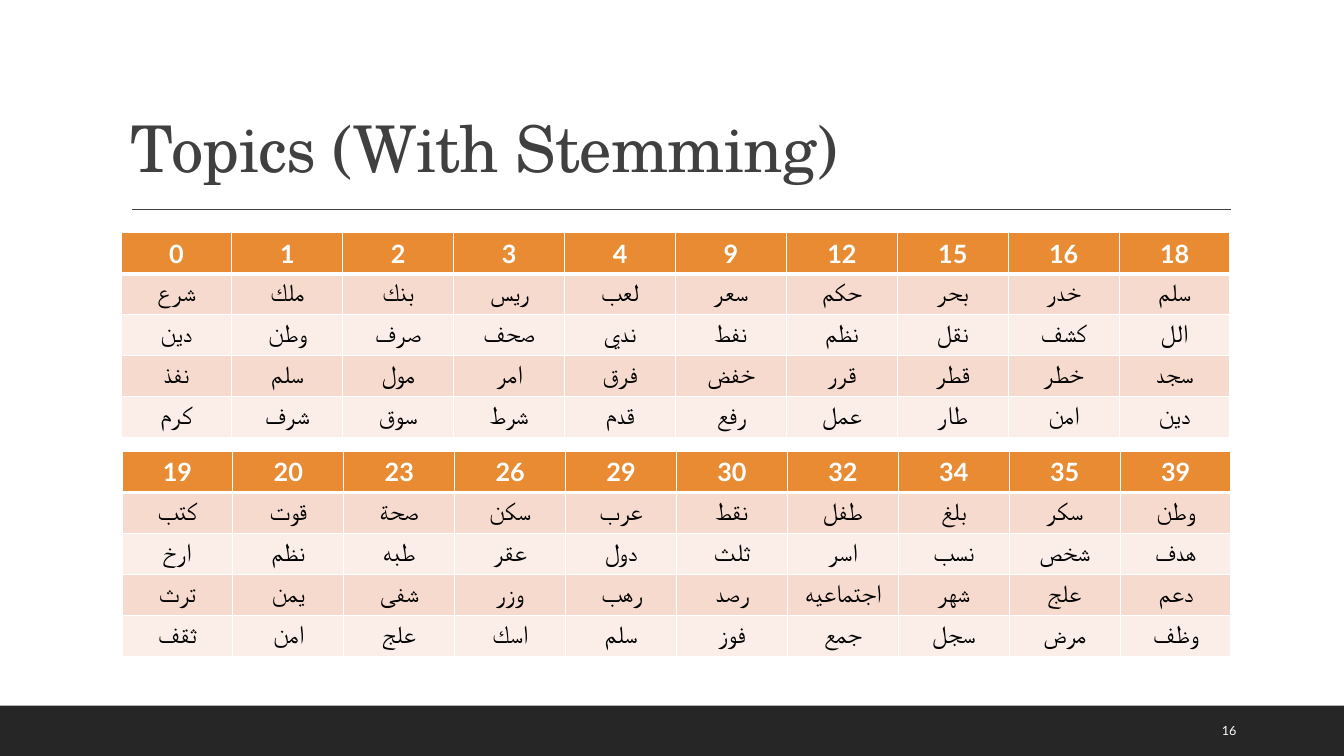
from lxml import etree
from pptx import Presentation
from pptx.dml.color import RGBColor
from pptx.enum.shapes import MSO_CONNECTOR, MSO_SHAPE
from pptx.enum.text import MSO_ANCHOR, PP_ALIGN
from pptx.oxml import parse_xml
from pptx.oxml.ns import qn
from pptx.util import Inches, Pt

CENTER = PP_ALIGN.CENTER
MIDDLE, BOTTOM = MSO_ANCHOR.MIDDLE, MSO_ANCHOR.BOTTOM
RECT, STRAIGHT = MSO_SHAPE.RECTANGLE, MSO_CONNECTOR.STRAIGHT
A_NS = "http://schemas.openxmlformats.org/drawingml/2006/main"
HEADER, BANDS = "E88B33", ("FBEEE8", "F6DACE")
W, H = 13.33, 7.5
TABLE_W, TABLE_H = 11, 2.03


def rgb(value):
    return RGBColor.from_string(value)


def style(tf, size, font, color, anchor=MIDDLE, bold=False):
    tf.word_wrap = True
    tf.vertical_anchor = anchor
    r = tf.paragraphs[0].runs[0]
    r.font.size = Pt(size)
    r.font.name = font
    r.font.bold = bold
    r.font.color.rgb = rgb(color)
    return r


prs = Presentation()
prs.slide_width, prs.slide_height = Inches(W), Inches(H)
s = prs.slides.add_slide(prs.slide_layouts[6])

# Footer band
sp = s.shapes.add_shape(RECT, 0, Inches(H - 0.5), Inches(W), Inches(0.5))
sp.shadow.inherit = False
sp.fill.solid()
sp.fill.fore_color.rgb = rgb("262626")
sp.line.fill.background()

# Rule under the title
rule = s.shapes.add_connector(STRAIGHT, Inches(1.31), Inches(2.08),
                              Inches(12.21), Inches(2.08))
rule.line.color.rgb = rgb("404040")
rule.line.width = Pt(1)
etree.SubElement(rule._element.spPr, qn("a:effectLst"))

# Title
tf = s.shapes.add_textbox(Inches(1.2), Inches(0.31), Inches(11), Inches(1.59)).text_frame
tf.text = "Topics (With Stemming)"
r = style(tf, 46, "TeX Gyre Schola", "404040", BOTTOM)
r._r.get_or_add_rPr().set("spc", "-50")
tf.paragraphs[0].line_spacing = 0.9

# Slide number
tf = s.shapes.add_textbox(Inches(12.02), Inches(7.05), Inches(0.85), Inches(0.4)).text_frame
tf.text = "16"
style(tf, 9, "Lato", "FFFFFF")

# Topic tables: left, top, then topic numbers followed by their words
tables = [
    (1.2, 2.31, [
        "0 1 2 3 4 9 12 15 16 18",
        "شرع ملك بنك ريس لعب سعر حكم بحر خدر سلم",
        "دين وطن صرف صحف ندي نفط نظم نقل كشف الل",
        "نفذ سلم مول امر فرق خفض قرر قطر خطر سجد",
        "كرم شرف سوق شرط قدم رفع عمل طار امن دين",
    ]),
    (1.21, 4.48, [
        "19 20 23 26 29 30 32 34 35 39",
        "كتب قوت صحة سكن عرب نقط طفل بلغ سكر وطن",
        "ارخ نظم طبه عقر دول ثلث اسر نسب شخص هدف",
        "ترث يمن شفى وزر رهب رصد اجتماعيه شهر علج دعم",
        "ثقف امن علج اسك سلم فوز جمع سجل مرض وظف",
    ]),
]
for left, top, lines in tables:
    rows = [line.split() for line in lines]
    table = s.shapes.add_table(len(rows), len(rows[0]), Inches(left), Inches(top),
                               Inches(TABLE_W), Inches(TABLE_H)).table
    for i, row in enumerate(rows):
        head = i == 0
        for j, word in enumerate(row):
            cell = table.cell(i, j)
            cell.fill.solid()
            cell.fill.fore_color.rgb = rgb(HEADER if head else BANDS[i % 2])
            cell.vertical_anchor = MIDDLE
            p = cell.text_frame.paragraphs[0]
            p.text = word
            p.alignment = CENTER
            font = p.runs[0].font
            font.size, font.name, font.bold = Pt(18), "Lato", head
            font.color.rgb = rgb("FFFFFF" if head else "000000")
            # White borders, thicker around the header's lower edge
            tcPr = cell._tc.get_or_add_tcPr()
            for k, side in enumerate(("lnL", "lnR", "lnT", "lnB")):
                thick = (side == "lnB" and head) or (side == "lnT" and i == 1)
                tcPr.insert(k, parse_xml(
                    f'<a:{side} xmlns:a="{A_NS}" w="{Pt(3 if thick else 1)}"><a:solidFill>'
                    f'<a:srgbClr val="FFFFFF"/></a:solidFill></a:{side}>'))

prs.save("out.pptx")
